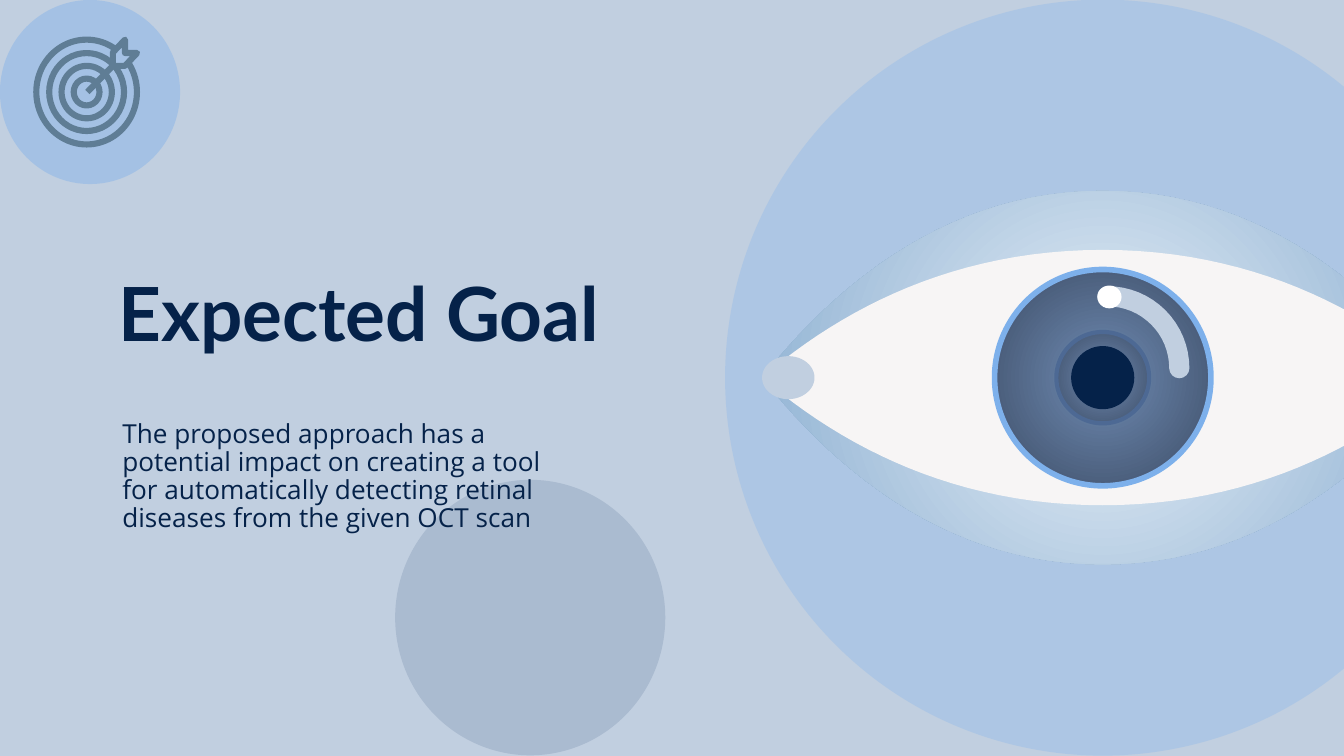
from math import cos, sin, pi
from lxml import etree
from pptx import Presentation
from pptx.dml.color import RGBColor
from pptx.enum.shapes import MSO_CONNECTOR, MSO_SHAPE
from pptx.enum.text import MSO_ANCHOR, PP_ALIGN
from pptx.oxml.ns import qn
from pptx.util import Inches, Pt

OVAL = MSO_SHAPE.OVAL
LEFT = PP_ALIGN.LEFT
MID = MSO_ANCHOR.MIDDLE
PALE = RGBColor(0xC1, 0xCF, 0xE0)
NAVY = RGBColor(0x05, 0x22, 0x49)
SKY = RGBColor(0x7D, 0xB0, 0xEB)
HALO = RGBColor(0x8F, 0xBA, 0xEC)
DUSK = RGBColor(0xAA, 0xBB, 0xD0)
DISC = RGBColor(0xA5, 0xC2, 0xE5)
STEEL = RGBColor(0x5F, 0x7D, 0x95)
RIM = RGBColor(0x4D, 0x69, 0x94)
WHITE = RGBColor(0xFF, 0xFF, 0xFF)
CREAM = RGBColor(0xF7, 0xF5, 0xF5)
LID = RGBColor(0xE7, 0xEF, 0xF7), RGBColor(0x8B, 0xAF, 0xD1)
IRIS = RGBColor(0x6F, 0x8B, 0xB4), RGBColor(0x3C, 0x4C, 0x64)

deck = Presentation()
deck.slide_width = Inches(10)
deck.slide_height = deck.slide_width * 9 // 16
COL = deck.slide_width / 100
slide = deck.slides.add_slide(deck.slide_layouts[0])
slide.background.fill.solid()
slide.background.fill.fore_color.rgb = PALE
shapes = slide.shapes


def draw(geo, fill=None, line=None, wide=0, alpha=None):
    if isinstance(geo, list):
        pen = shapes.build_freeform(*[round(v * COL) for v in geo[0]])
        pen.add_line_segments([(round(x * COL), round(y * COL)) for x, y in geo[1:]])
        shape = pen.convert_to_shape()
    else:
        x, y, w, h = geo
        box = [round(v * COL) for v in (x - w / 2, y - h / 2, w, h)]
        shape = shapes.add_shape(OVAL, *box)
    shape.shadow.inherit = False
    if fill is None:
        shape.fill.background()
    else:
        shape.fill.solid()
        shape.fill.fore_color.rgb = fill
    if alpha:
        tint = shape._element.spPr.find(qn("a:solidFill"))[0]
        etree.SubElement(tint, qn("a:alpha"), val=str(alpha * 1000))
    if line is None:
        shape.line.fill.background()
    else:
        shape.line.color.rgb = line
        shape.line.width = Pt(wide)
    return shape


def shade(shape, pair):
    shape.fill.gradient()
    for stop, tone, place in zip(shape.fill.gradient_stops, pair, (0, 1)):
        stop.color.rgb = tone
        stop.position = place
    grad = shape._element.spPr.find(qn("a:gradFill"))
    grad.remove(grad.find(qn("a:lin")))
    ray = etree.SubElement(grad, qn("a:path"), path="circle")
    etree.SubElement(ray, qn("a:fillToRect"), l="50000", t="50000", r="50000", b="50000")


EYE_X, EYE_Y, HALF = 82.05, 28.1, 25.35
draw((6.7, 6.85, 13.4, 13.7), SKY, alpha=42)
draw((39.45, 45.95, 20.1, 20.5), DUSK)
draw((EYE_X, 28.1, 56.2, 56.25), HALO, alpha=39)

curve = []
for step in range(25):
    t = step / 24
    a, b, c = 3 * t * (1 - t) ** 2, 3 * t * t * (1 - t), t ** 3
    curve.append((0.24 * a + 0.57 * b + c - 1, 0.55 * a + b + c))
arch = curve + [(-x, y) for x, y in curve[-2::-1]]
loop = arch + [(x, -y) for x, y in arch[-2:0:-1]]
lid, white = [[(EYE_X + HALF * x, EYE_Y - tall * y) for x, y in loop] for tall in (13.9, 9.5)]
shade(draw(lid), LID)
draw(white, CREAM)
shade(draw((EYE_X, EYE_Y, 16.1, 16.1), line=SKY, wide=3), IRIS)
shade(draw((EYE_X, EYE_Y, 6.9, 6.8), line=RIM, wide=2.25), IRIS)

turns = [pi / 2 * n / 16 for n in range(17)]
caps = [pi * n / 8 for n in range(1, 8)]
gleam = [(82.4 + 6.1 * sin(t), 27.4 - 6.1 * cos(t)) for t in turns]
gleam += [(87.75 + 0.75 * cos(t), 27.4 + 0.75 * sin(t)) for t in caps]
gleam += [(82.4 + 4.6 * sin(t), 27.4 - 4.6 * cos(t)) for t in turns[::-1]]
gleam += [(82.4 - 0.75 * sin(t), 22.05 + 0.75 * cos(t)) for t in caps]
draw(gleam, PALE)
draw((58.65, EYE_Y, 3.9, 3.2), PALE)
draw((82.55, 22.1, 1.7, 1.6), WHITE, WHITE, 0.75)
draw((EYE_X, EYE_Y, 4.7, 4.7), NAVY)

for ring in (2, 3.9, 5.8, 7.8):
    draw((6.45, 6.85, 0.96 * ring, ring), line=STEEL, wide=3.3)
feather = [(8.4, 3.9), (9.3, 2.95), (9.3, 3.95), (10.2, 3.95), (9.3, 4.9), (8.4, 4.9), (8.4, 3.9)]
draw(feather, DISC, STEEL, 3.3)
ends = [round(v * COL) for v in (6.5, 6.85, 8.4, 4.9)]
shaft = shapes.add_connector(MSO_CONNECTOR.STRAIGHT, *ends)
shaft.line.color.rgb = STEEL
shaft.line.width = Pt(3.3)
etree.SubElement(shaft._element.spPr, qn("a:effectLst"))

title, body = slide.placeholders
title.text_frame.text = "Expected Goal"
body.text_frame.text = (
    "The proposed approach has a potential impact on creating a tool "
    "for automatically detecting retinal diseases from the given OCT scan"
)
for item, box, face, size, bold, gap in (
    (title, (7.8, 18.6, 43.7, 9.2), "Lato", 40, True, 1),
    (body, (8.1, 27.6, 33.3, 15.8), "Open Sans", 14, False, 0.9),
):
    item.left, item.top, item.width, item.height = [round(v * COL) for v in box]
    frame = item.text_frame
    frame.word_wrap = True
    frame.vertical_anchor = MID
    frame.margin_left = frame.margin_right = round(COL)
    frame.margin_top = frame.margin_bottom = round(COL)
    para = frame.paragraphs[0]
    para.alignment = LEFT
    para.line_spacing = gap
    para.space_before = Pt(0)
    font = para.runs[0].font
    font.name, font.size, font.bold = face, Pt(size), bold
    font.color.rgb = NAVY
    shapes._spTree.append(item._element)

deck.save("out.pptx")
